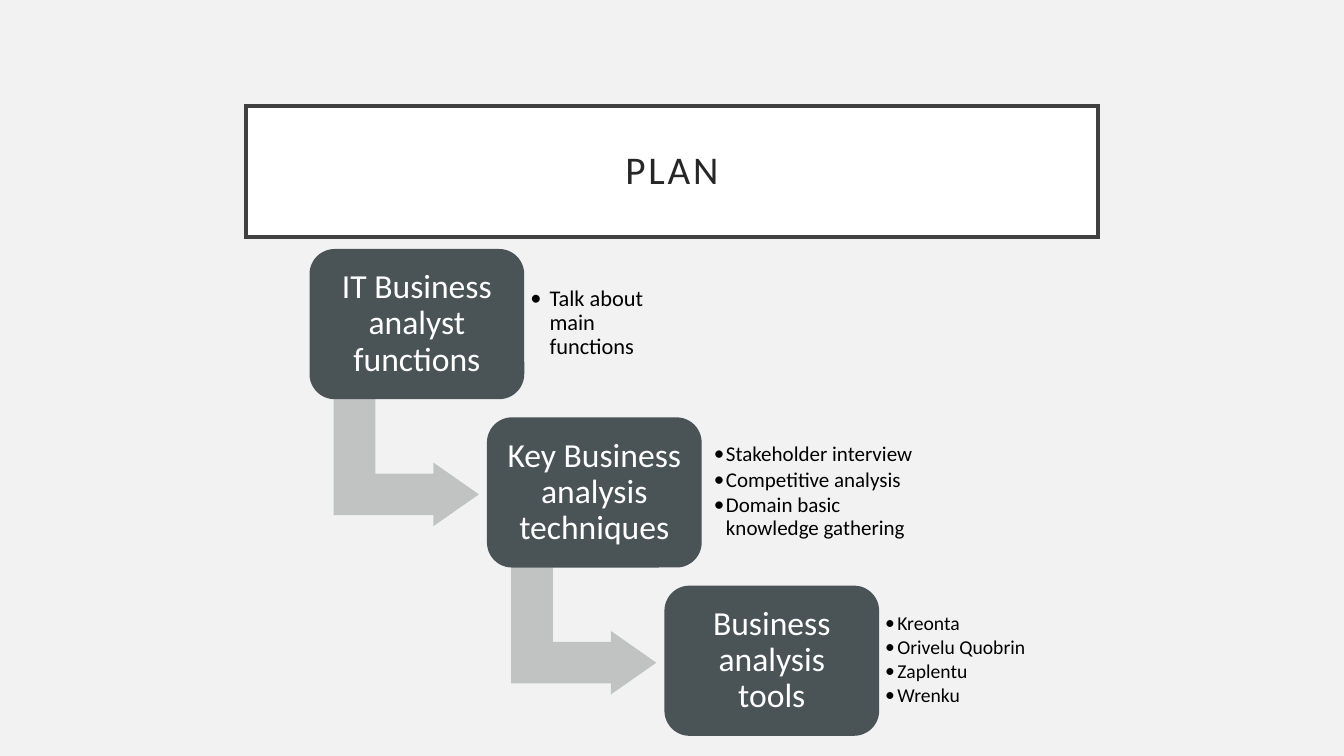
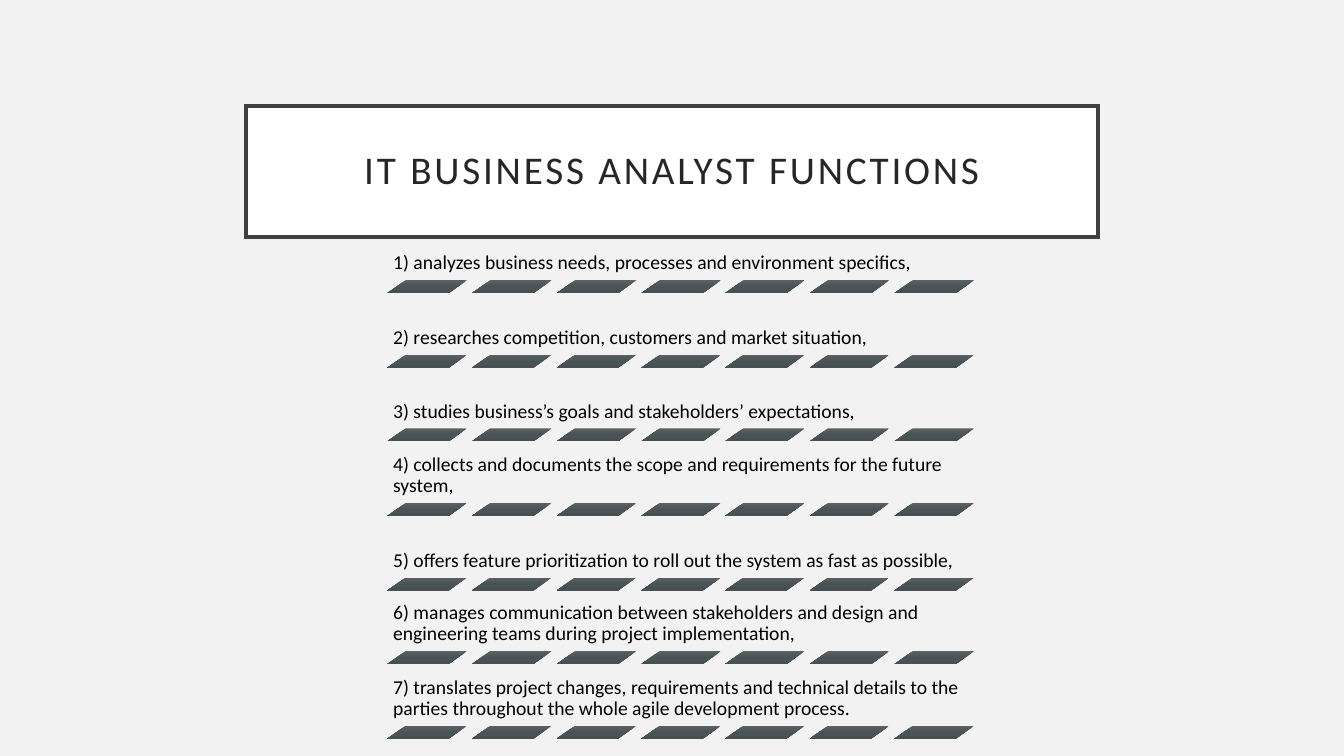
from copy import deepcopy
from dataclasses import dataclass

from pptx import Presentation, util as u
from pptx.dml.color import RGBColor
from pptx.enum import shapes, text
from pptx.oxml import parse_xml
from pptx.oxml.ns import nsdecls, qn

# Scale: 100 px to the inch
PX = 9144
WIDE, HIGH = 1333, 750
FONT = "Calibri"

PAPER = RGBColor(0xF2, 0xF2, 0xF2)
WHITE = RGBColor(0xFF, 0xFF, 0xFF)
BLACK = RGBColor(0x00, 0x00, 0x00)
INK = RGBColor(0x26, 0x26, 0x26)
FRAME = RGBColor(0x40, 0x40, 0x40)
SLATE = RGBColor(0x4A, 0x53, 0x56)
SILVER = RGBColor(0xC1, 0xC3, 0xC3)
STOPS = [
    (0, RGBColor(0x5A, 0x61, 0x63)),
    (0.5, SLATE),
    (1, RGBColor(0x46, 0x50, 0x53)),
]

KIND = shapes.MSO_SHAPE
MID, LOW = text.MSO_ANCHOR.MIDDLE, text.MSO_ANCHOR.BOTTOM
LEFT, MEAN = text.PP_ALIGN.LEFT, text.PP_ALIGN.CENTER


@dataclass
class Box:
    left: int
    top: int
    wide: int
    high: int

    def emu(self) -> list[int]:
        return [n * PX for n in (self.left, self.top, self.wide, self.high)]


@dataclass
class Look:
    size: int
    color: RGBColor = BLACK
    align: text.PP_ALIGN = LEFT
    anchor: text.MSO_ANCHOR = MID
    pad: int = 6
    after: int = 0
    hang: int = 0


@dataclass
class Step:
    name: str
    notes: list[str]
    look: Look
    gap: int
    wide: int


HEAD = Box(244, 105, 845, 130)
TITLE = Look(28, INK, MEAN, pad=20)
LABEL = Look(24, WHITE, MEAN, pad=10)
ITEM = Look(14, anchor=LOW)

STEPS = [
    Step("IT Business analyst functions", ["Talk about main functions"],
         Look(16, pad=7, after=2, hang=19), 212, 155),
    Step("Key Business analysis techniques",
         ["Stakeholder interview", "Competitive analysis",
          "Domain basic knowledge gathering"],
         Look(15, pad=8, after=2, hang=12), 217, 218),
    Step("Business analysis tools",
         ["Kreonta", "Orivelu Quobrin", "Zaplentu", "Wrenku"],
         Look(14, pad=6, after=2, hang=12), 213, 155),
]
TASKS = [
    "1) analyzes business needs, processes and environment specifics,",
    "2) researches competition, customers and market situation,",
    "3) studies business’s goals and stakeholders’ expectations,",
    "4) collects and documents the scope and requirements for the future system,",
    "5) offers feature prioritization to roll out the system as fast as possible,",
    "6) manages communication between stakeholders and design and "
    "engineering teams during project implementation,",
    "7) translates project changes, requirements and technical details to the "
    "parties throughout the whole agile development process.",
]


def apply(item, vals: dict) -> None:
    for key, val in vals.items():
        setattr(item, key, val)


def write(shape, lines: list[str], look: Look) -> None:
    """Fill a shape with formatted paragraphs, bulleted if they hang."""
    frame = shape.text_frame
    pad = look.pad * PX
    apply(frame, {
        "text": "\n".join(lines), "word_wrap": True,
        "auto_size": text.MSO_AUTO_SIZE.NONE, "vertical_anchor": look.anchor,
        "margin_left": pad, "margin_right": pad,
        "margin_top": pad, "margin_bottom": pad,
    })
    for para in frame.paragraphs:
        apply(para, {"alignment": look.align, "line_spacing": 0.9,
                     "space_before": u.Pt(0), "space_after": u.Pt(look.after)})
        font = para.runs[0].font
        apply(font, {"name": FONT, "size": u.Pt(look.size)})
        font.color.rgb = look.color
        if look.hang:
            props = para._p.get_or_add_pPr()
            props.set("marL", str(look.hang * PX))
            props.set("indent", str(-look.hang * PX))
            for tag in (f'buFont {nsdecls("a")} typeface="{FONT}"',
                        f'buChar {nsdecls("a")} char="•"'):
                props.append(parse_xml(f"<a:{tag}/>"))


def label(slide, box: Box, lines: list[str], look: Look) -> None:
    write(slide.shapes.add_textbox(*box.emu()), lines, look)


def draw(slide, kind: KIND, box: Box, color: RGBColor, *tweaks: float):
    shape = slide.shapes.add_shape(kind, *box.emu())
    shape.shadow.inherit = False
    shape.fill.solid()
    shape.fill.fore_color.rgb = color
    shape.line.fill.background()
    for i, val in enumerate(tweaks):
        shape.adjustments[i] = val
    return shape


def shade(shape) -> None:
    """Give a shape the three-stop vertical gradient."""
    shape.fill.gradient()
    shape.fill.gradient_angle = 270
    group = shape._element.spPr.find(".//" + qn("a:gsLst"))
    group.append(deepcopy(group[0]))
    for stop, (place, color) in zip(shape.fill.gradient_stops, STOPS):
        stop.position = place
        stop.color.rgb = color


def start(deck, name: str):
    """Add a slide with the framed title."""
    slide = deck.slides.add_slide(deck.slide_layouts[5])
    title = slide.shapes.title
    apply(title, dict(zip(("left", "top", "width", "height"), HEAD.emu())))
    title.fill.solid()
    title.fill.fore_color.rgb = WHITE
    title.line.color.rgb = FRAME
    title.line.width = u.Pt(2.5)
    # Square corners on the frame
    edge = title._element.spPr.find(qn("a:ln"))
    edge.append(parse_xml(f'<a:miter {nsdecls("a")} lim="800000"/>'))
    write(title, [name], TITLE)
    title.text_frame.paragraphs[0].runs[0].font._element.set("spc", "200")
    return slide


def plan(deck) -> None:
    slide = start(deck, "PLAN")
    for i, step in enumerate(STEPS):
        left, top = 307 + 176 * i, 247 + 167 * i
        # Arrow down to the next step
        if i < len(STEPS) - 1:
            arrow = draw(slide, KIND.BENT_UP_ARROW,
                         Box(left + 33, top + 140, 126, 144), SILVER,
                         0.328, 0.25, 0.358)
            arrow.rotation = 90
        # Step and its notes
        card = draw(slide, KIND.ROUNDED_RECTANGLE,
                    Box(left, top, 213, 149), SLATE, 0.167)
        write(card, [step.name], LABEL)
        label(slide, Box(left + step.gap, top + 14, step.wide, 120),
              step.notes, step.look)


def tasks(deck) -> None:
    slide = start(deck, "IT BUSINESS ANALYST FUNCTIONS")
    for row, task in enumerate(TASKS):
        top = 224 + round(row * 442 / 6)
        label(slide, Box(384, top, 594, 54), [task], ITEM)
        # Dashed rule under the task
        for col in range(7):
            left = 384 + round(col * 503 / 6)
            shade(draw(slide, KIND.PARALLELOGRAM,
                       Box(left, top + 54, 79, 13), SLATE, 1.408))


def main() -> None:
    deck = Presentation()
    apply(deck, {"slide_width": WIDE * PX, "slide_height": HIGH * PX})
    back = deck.slide_master.background.fill
    back.solid()
    back.fore_color.rgb = PAPER
    plan(deck)
    tasks(deck)
    deck.save("out.pptx")


if __name__ == "__main__":
    main()
